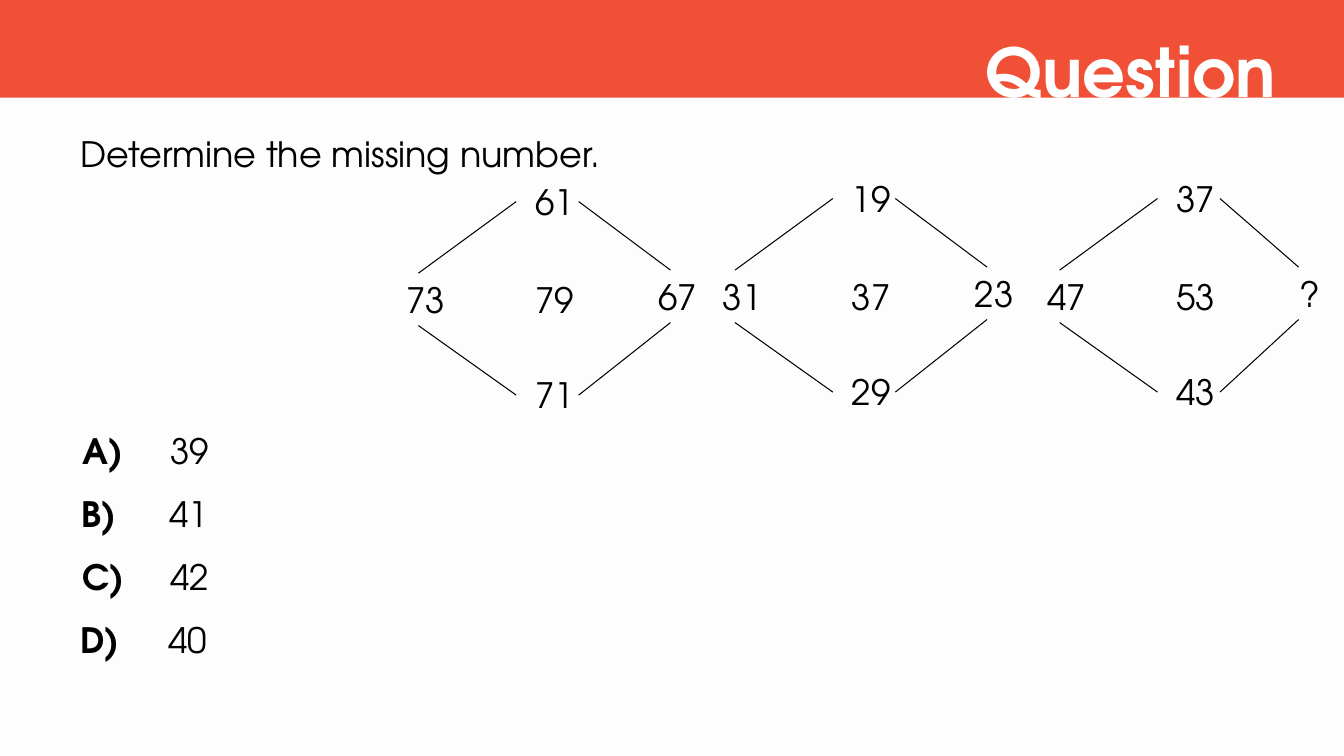
from pptx import Presentation
from pptx.util import Inches, Pt
from pptx.dml.color import RGBColor
from pptx.enum.shapes import MSO_CONNECTOR, MSO_SHAPE
from pptx.enum.text import MSO_AUTO_SIZE, PP_ALIGN
from pptx.oxml.ns import qn
from lxml.etree import SubElement

FONT = "TeX Gyre Adventor"
BLACK, WHITE, RED, PAPER = "000000", "FFFFFF", "F05136", "FDFDFD"


def paint(target, color):
    target.rgb = RGBColor.from_string(color)


def add_text(slide, text, left, top, width, height, size=25, color=BLACK,
             bold=False, align=PP_ALIGN.LEFT, space=None, wrap=True):
    box = slide.shapes.add_textbox(
        Inches(left), Inches(top), Inches(width), Inches(height))
    frame = box.text_frame
    frame.text = text
    frame.word_wrap = wrap
    frame.auto_size = MSO_AUTO_SIZE.SHAPE_TO_FIT_TEXT
    para = frame.paragraphs[0]
    para.alignment = align
    if space:
        para.line_spacing = space
    font = para.runs[0].font
    font.name = FONT
    font.size = Pt(size)
    font.bold = bold
    paint(font.color, color)


def add_band(slide, width, height):
    band = slide.shapes.add_shape(
        MSO_SHAPE.RECTANGLE, 0, 0, width, Inches(height))
    band.shadow.inherit = False
    band.fill.solid()
    paint(band.fill.fore_color, RED)
    band.line.fill.background()


def add_line(slide, x1, y1, x2, y2):
    line = slide.shapes.add_connector(
        MSO_CONNECTOR.STRAIGHT, Inches(x1), Inches(y1), Inches(x2), Inches(y2))
    line.line.width = Pt(0.75)
    paint(line.line.color, BLACK)
    SubElement(line._element.spPr, qn("a:effectLst"))


def add_diamond(slide, x, y, top, left, middle, right, bottom):
    narrow = right == "?"
    spots = [(top, 1.28, -0.97), (left, 0, 0), (middle, 1.28, 0),
             (right, 2.5, -0.03), (bottom, 1.28, 0.95)]
    for text, dx, dy in spots:
        width = 0.35 if text == "?" else 0.62
        add_text(slide, text, x + dx, y + dy, width, 0.52, wrap=False)
    end = 2.59 if narrow else 2.72
    edges = [(0.22, 0, 1.19, -0.71), (1.81, -0.71, end, -0.03),
             (0.22, 0.52, 1.19, 1.21), (end, 0.49, 1.81, 1.21)]
    for x1, y1, x2, y2 in edges:
        add_line(slide, x + x1, y + y1, x + x2, y + y2)


def add_choice(slide, row, left, label, value):
    top = 4 + row * 5 / 8
    add_text(slide, label, left, top, 0.76, 0.68, bold=True, space=1.5)
    add_text(slide, value, left + 0.87, top, 11.04, 0.73, space=1.5)


def main():
    deck = Presentation()
    deck.slide_width = Inches(13.33)
    deck.slide_height = Inches(7.5)
    slide = deck.slides.add_slide(deck.slide_layouts[6])
    fill = slide.background.fill
    fill.solid()
    paint(fill.fore_color, PAPER)

    add_text(slide, "Determine the missing number.", 0.7, 1.27, 11.93, 0.52,
             align=PP_ALIGN.JUSTIFY)
    add_band(slide, deck.slide_width, 0.97)
    add_text(slide, "Question", 4.25, 0.25, 8.5, 0.91, size=48, color=WHITE,
             bold=True, align=PP_ALIGN.RIGHT)

    choices = [(0.72, "A)", "39"), (0.71, "B)", "41"),
               (0.72, "C)", "42"), (0.7, "D)", "40")]
    for row, choice in enumerate(choices):
        add_choice(slide, row, *choice)

    add_diamond(slide, 3.93, 2.71, "61", "73", "79", "67", "71")
    add_diamond(slide, 7.07, 2.68, "19", "31", "37", "23", "29")
    add_diamond(slide, 10.29, 2.68, "37", "47", "53", "?", "43")
    deck.save("out.pptx")


if __name__ == "__main__":
    main()
